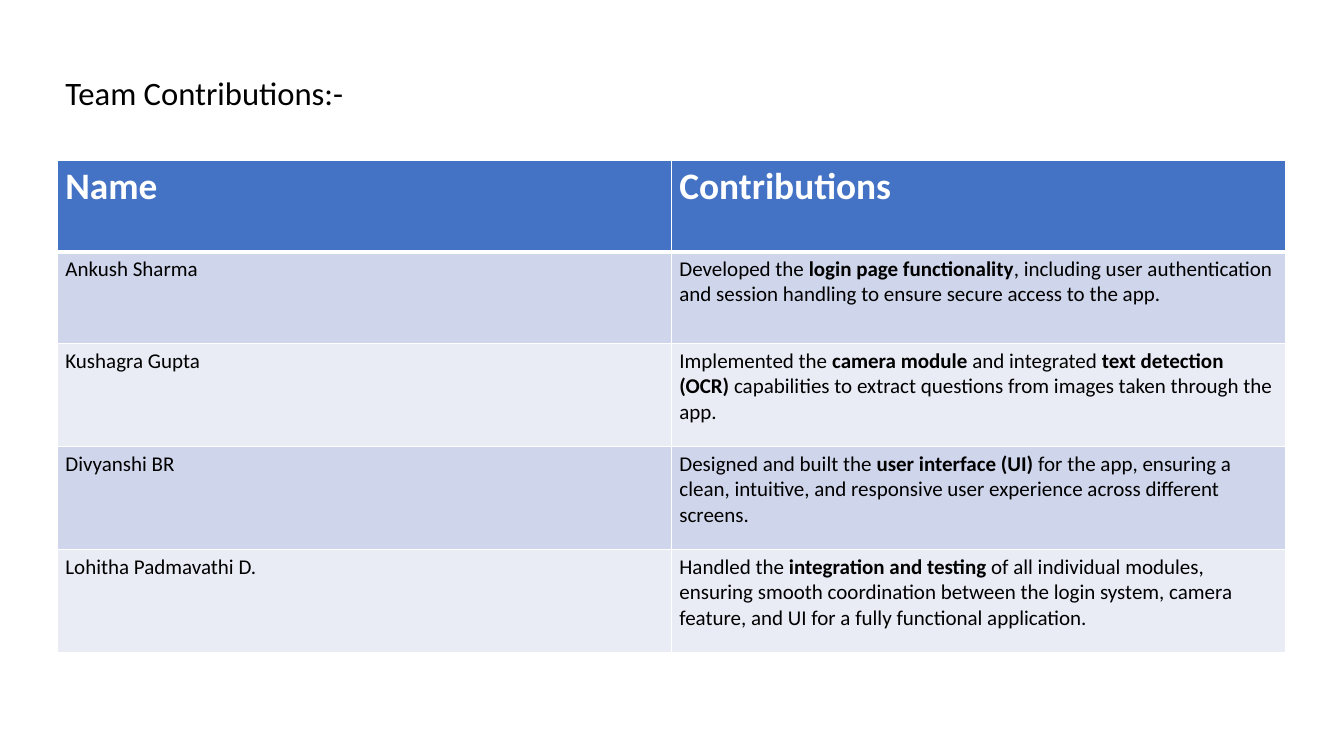
from lxml import etree
from pptx import Presentation
from pptx.dml.color import RGBColor
from pptx.enum.text import MSO_ANCHOR, MSO_AUTO_SIZE, PP_ALIGN
from pptx.oxml.ns import qn
from pptx.util import Emu, Pt

TOP, LEFT = MSO_ANCHOR.TOP, PP_ALIGN.LEFT
NO_FIT = MSO_AUTO_SIZE.NONE

# Content: each cell is a list of (text, bold) runs
TITLE = "Team Contributions:-"
ROWS = [
    ([("Name", True)], [("Contributions", True)]),
    ([("Ankush Sharma", False)],
     [("Developed the ", False), ("login page functionality", True),
      (", including user authentication and session handling to ensure "
       "secure access to the app.", False)]),
    ([("Kushagra Gupta", False)],
     [("Implemented the ", False), ("camera module", True),
      (" and integrated ", False), ("text detection (OCR)", True),
      (" capabilities to extract questions from images taken through "
       "the app.", False)]),
    ([("Divyanshi BR", False)],
     [("Designed and built the ", False), ("user interface (UI)", True),
      (" for the app, ensuring a clean, intuitive, and responsive user "
       "experience across different screens.", False)]),
    ([("Lohitha Padmavathi D.", False)],
     [("Handled the ", False), ("integration and testing", True),
      (" of all individual modules, ensuring smooth coordination between "
       "the login system, camera feature, and UI for a fully functional "
       "application.", False)]),
]
COLORS = {"text": "000000", "white": "FFFFFF", "header": "4472C4",
          "odd": "CFD5EA", "even": "E9EBF5"}
FONT = "Calibri"

# Layout in px
SLIDE_W, SLIDE_H = 1344, 756
TITLE_BOX = (57, 69, 953, 87)
TABLE_X, TABLE_Y, COL_W = 57, 160, 614
ROW_HEIGHTS = [92, 92, 103, 103, 103]


def px(n):
    return Emu(round(n * 914400 / 84))


def rgb(name):
    return RGBColor.from_string(COLORS[name])


def add_run(p, text, size, color, bold=False):
    r = p.add_run()
    r.text = text
    r.font.name, r.font.size, r.font.bold = FONT, Pt(size), bold
    r.font.color.rgb = rgb(color)


def add_borders(cell, widths):
    tc_pr = cell._tc.get_or_add_tcPr()
    for i, (side, width) in enumerate(widths.items()):
        ln = etree.Element(qn(f"a:ln{side}"), w=str(Pt(width)))
        fill = etree.SubElement(ln, qn("a:solidFill"))
        etree.SubElement(fill, qn("a:srgbClr"), val=COLORS["white"])
        tc_pr.insert(i, ln)


prs = Presentation()
prs.slide_width, prs.slide_height = px(SLIDE_W), px(SLIDE_H)
s = prs.slides.add_slide(prs.slide_layouts[5])

# Title
title = s.shapes.title
title.left, title.top, title.width, title.height = map(px, TITLE_BOX)
tf = title.text_frame
tf.word_wrap, tf.auto_size, tf.vertical_anchor = True, NO_FIT, TOP
p = tf.paragraphs[0]
p.alignment = LEFT
add_run(p, TITLE, 28, "text")

# Contributions table
table = s.shapes.add_table(len(ROWS), 2, px(TABLE_X), px(TABLE_Y),
                           px(2 * COL_W), px(sum(ROW_HEIGHTS))).table
for col in table.columns:
    col.width = px(COL_W)
for i, (row, height) in enumerate(zip(ROWS, ROW_HEIGHTS)):
    table.rows[i].height = px(height)
    band = "header" if i == 0 else "odd" if i % 2 else "even"
    size, color = (32, "white") if i == 0 else (18, "text")
    borders = {"L": 1, "R": 1, "T": 3 if i == 1 else 1, "B": 3 if i == 0 else 1}
    for j, runs in enumerate(row):
        cell = table.cell(i, j)
        cell.fill.solid()
        cell.fill.fore_color.rgb = rgb(band)
        add_borders(cell, borders)
        for text, bold in runs:
            add_run(cell.text_frame.paragraphs[0], text, size, color, bold)

prs.save("out.pptx")
